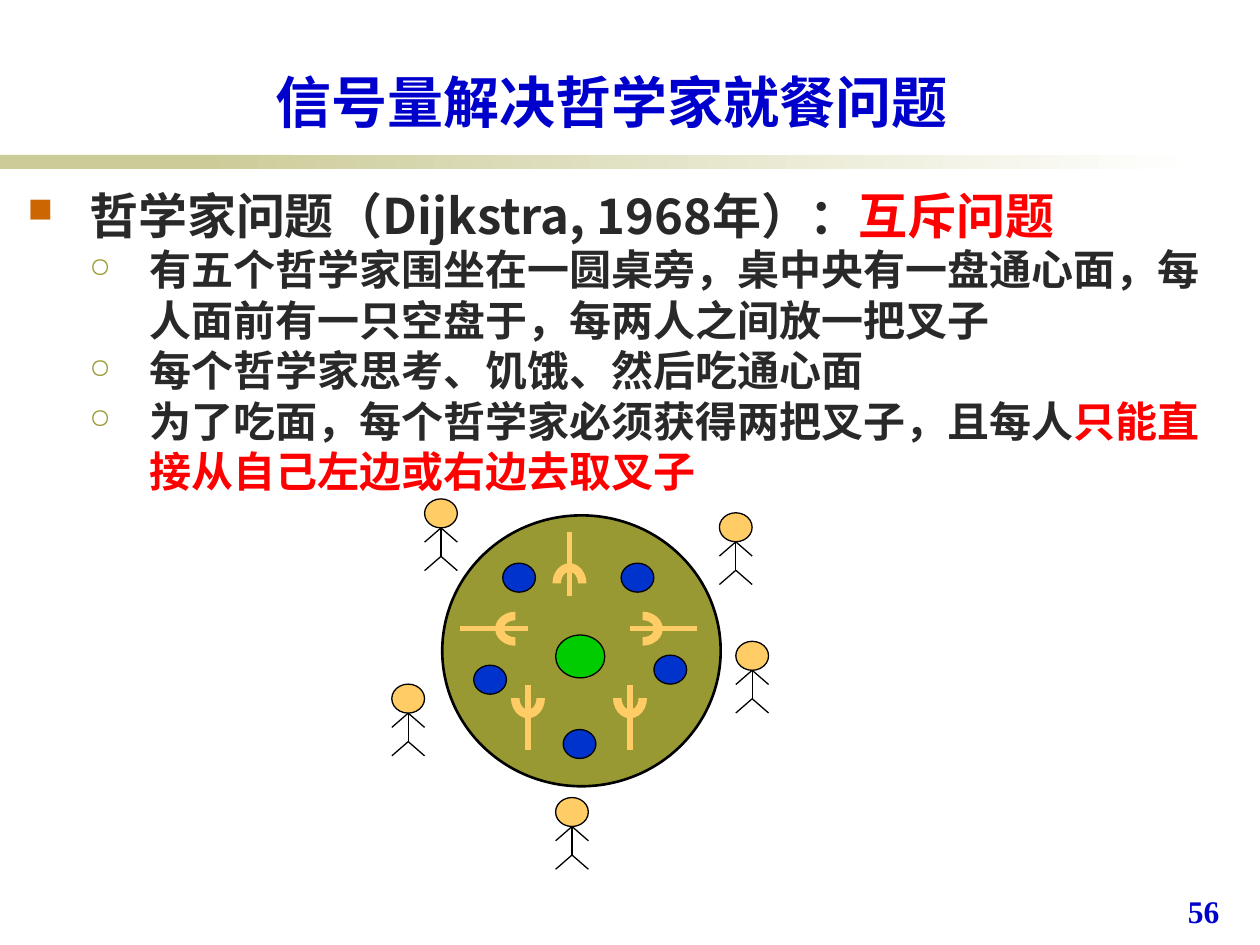
import pptx
import pptx.util
import pptx.dml.color
import pptx.enum.shapes
import pptx.enum.text
import pptx.oxml.ns
from lxml import etree

Inches = pptx.util.Inches
Pt = pptx.util.Pt
RGBColor = pptx.dml.color.RGBColor
MSO_SHAPE = pptx.enum.shapes.MSO_SHAPE
qn = pptx.oxml.ns.qn

BLUE = RGBColor(0x00, 0x00, 0xCC)
DARK = RGBColor(0x29, 0x29, 0x29)
RED = RGBColor(0xFF, 0x00, 0x00)
BLACK = RGBColor(0x00, 0x00, 0x00)
WHITE = RGBColor(0xFF, 0xFF, 0xFF)
KHAKI = RGBColor(0xCC, 0xCC, 0x99)
OLIVE = RGBColor(0x99, 0x99, 0x33)
ORANGE = RGBColor(0xCC, 0x66, 0x00)
PLATE = RGBColor(0x00, 0x33, 0xCC)
GREEN = RGBColor(0x00, 0xCC, 0x00)
SAND = RGBColor(0xFF, 0xCC, 0x66)

HAN_FONT = "Noto Sans CJK JP"
NUMBER_FONT = "Times New Roman"

# Per outline level: size, bullet, bullet colour, bullet size %, indent, hanging
LEVELS = [
    (28, "■", ORANGE, 70, 0.49, 0.49),
    (24, "○", OLIVE, 65, 0.97, 0.48),
]
OUTLINE = [
    (0, [("哲学家问题（Dijkstra, 1968年）：", DARK), ("互斥问题", RED)]),
    (1, [("有五个哲学家围坐在一圆桌旁，桌中央有一盘通心面，"
          "每人面前有一只空盘于，每两人之间放一把叉子", DARK)]),
    (1, [("每个哲学家思考、饥饿、然后吃通心面", DARK)]),
    (1, [("为了吃面，每个哲学家必须获得两把叉子，且每人", DARK),
         ("只能直接从自己左边或右边去取叉子", RED)]),
]
PLATES = [(3.99, 4.47), (4.93, 4.47), (5.19, 5.2), (4.47, 5.79), (3.76, 5.28)]
PHILOSOPHERS = [(5.71, 4.07), (5.84, 5.09), (4.41, 6.33), (3.37, 3.96), (3.11, 5.43)]
# Handle start, handle end, arc centre, arc rotation
FORKS = [
    ((4.52, 4.22), (4.52, 4.73), (4.52, 4.63), 0),
    ((3.65, 4.99), (4.19, 4.99), (4.09, 4.99), 270),
    ((5.53, 4.99), (5, 4.99), (5.1, 4.99), 90),
    ((5, 5.95), (5, 5.44), (5, 5.54), 180),
    ((4.19, 5.95), (4.19, 5.44), (4.19, 5.54), 180),
]


class SlideBuilder:
    def __init__(self, prs):
        self.slide = prs.slides.add_slide(prs.slide_layouts[5])
        self.shapes = self.slide.shapes

    def run(self, p, text, size, color, font=HAN_FONT):
        r = p.add_run()
        r.text = text
        r.font.size = Pt(size)
        r.font.bold = True
        r.font.name = font
        r.font.color.rgb = color
        ea = etree.SubElement(r.font._element, qn("a:ea"))
        ea.set("typeface", font)

    def title(self, text, left, top, width, height):
        sp = self.slide.shapes.title
        sp.left, sp.top = Inches(left), Inches(top)
        sp.width, sp.height = Inches(width), Inches(height)
        tf = sp.text_frame
        tf.auto_size = pptx.enum.text.MSO_AUTO_SIZE.NONE
        tf.vertical_anchor = pptx.enum.text.MSO_ANCHOR.BOTTOM
        tf.margin_bottom = 0
        p = tf.paragraphs[0]
        p.alignment = pptx.enum.text.PP_ALIGN.CENTER
        self.run(p, text, 32, BLUE)

    def text_box(self, left, top, width, height):
        sp = self.slide.shapes.add_textbox(
            Inches(left), Inches(top), Inches(width), Inches(height))
        sp.text_frame.word_wrap = True
        return sp.text_frame

    def outline(self, items, left, top, width, height):
        tf = self.text_box(left, top, width, height)
        tf.margin_top = Inches(0.08)
        for i, (level, runs) in enumerate(items):
            p = tf.add_paragraph() if i else tf.paragraphs[0]
            size = LEVELS[level][0]
            p.level = level
            p.line_spacing = Pt(size * 1.2)
            self.bullet(p, *LEVELS[level][1:])
            for text, color in runs:
                self.run(p, text, size, color)

    def bullet(self, p, char, color, percent, indent, hanging):
        pPr = p._p.get_or_add_pPr()
        pPr.set("marL", str(Inches(indent)))
        pPr.set("indent", str(-Inches(hanging)))
        clr = etree.SubElement(pPr, qn("a:buClr"))
        etree.SubElement(clr, qn("a:srgbClr")).set("val", str(color))
        etree.SubElement(pPr, qn("a:buSzPct")).set("val", str(percent * 1000))
        etree.SubElement(pPr, qn("a:buChar")).set("char", char)

    def shape(self, kind, left, top, width, height, fill, line=None):
        sp = self.shapes.add_shape(
            kind, Inches(left), Inches(top), Inches(width), Inches(height))
        sp.shadow.inherit = False
        sp.fill.solid()
        sp.fill.fore_color.rgb = fill
        if line:
            sp.line.color.rgb = BLACK
            sp.line.width = Pt(line)
        else:
            sp.line.fill.background()
        return sp

    def ellipse(self, left, top, width, height, fill, line=0.75):
        return self.shape(MSO_SHAPE.OVAL, left, top, width, height, fill, line)

    def fading_bar(self, left, top, width, height, start, end):
        sp = self.shape(MSO_SHAPE.RECTANGLE, left, top, width, height, start)
        sp.fill.gradient()
        sp.fill.gradient_angle = 0
        for stop, color, position in zip(sp.fill.gradient_stops, (start, end), (0, 1)):
            stop.color.rgb = color
            stop.position = position

    def line(self, start, end, color=BLACK, width=0.75):
        cxn = self.shapes.add_connector(
            pptx.enum.shapes.MSO_CONNECTOR.STRAIGHT, *map(Inches, start + end))
        cxn.line.color.rgb = color
        cxn.line.width = Pt(width)
        etree.SubElement(cxn._element.spPr, qn("a:effectLst"))

    def philosopher(self, left, top):
        self.ellipse(left, top, 0.26, 0.23, SAND)
        x, right = left + 0.13, left + 0.26
        neck, waist, hip, feet = (top + 0.23 + 0.113 * i for i in range(4))
        self.line((x, neck), (x, waist))
        self.line((x, waist), (x, hip))
        for joint, tip in ((hip, feet), (neck, waist)):
            for side in (left, right):
                self.line((x, joint), (side, tip))

    def fork(self, start, end, center, rotation):
        self.line(start, end, SAND, 3)
        w, h = 0.27, 0.32
        sp = self.shape(MSO_SHAPE.BLOCK_ARC, center[0] - w / 2, center[1] - h / 2, w, h, SAND)
        sp.rotation = rotation

    def dining_table(self):
        self.shapes = self.slide.shapes.add_group_shape().shapes
        self.ellipse(3.51, 4.09, 2.21, 2.15, OLIVE, 1.5)
        for left, top in PLATES:
            self.ellipse(left, top, 0.26, 0.23, PLATE)
        for left, top in PHILOSOPHERS:
            self.philosopher(left, top)
        self.ellipse(4.41, 5.04, 0.39, 0.34, GREEN)
        for fork in FORKS:
            self.fork(*fork)
        self.shapes = self.slide.shapes

    def page_number(self, text, left, top, width, height):
        tf = self.text_box(left, top, width, height)
        self.run(tf.paragraphs[0], text, 18, BLUE, NUMBER_FONT)


def main():
    prs = pptx.Presentation()
    prs.slide_width, prs.slide_height = Inches(10), Inches(7.5)
    s = SlideBuilder(prs)
    s.shape(MSO_SHAPE.RECTANGLE, 0, 1.23, 2.33, 0.11, KHAKI)
    s.fading_bar(1.58, 1.23, 7.92, 0.11, KHAKI, WHITE)
    s.title("信号量解决哲学家就餐问题", 0.83, 0.44, 8.05, 0.63)
    s.outline(OUTLINE, 0.12, 1.39, 9.69, 5.43)
    s.dining_table()
    s.page_number("56", 9.33, 7.03, 0.64, 0.5)
    prs.save("out.pptx")


if __name__ == "__main__":
    main()
